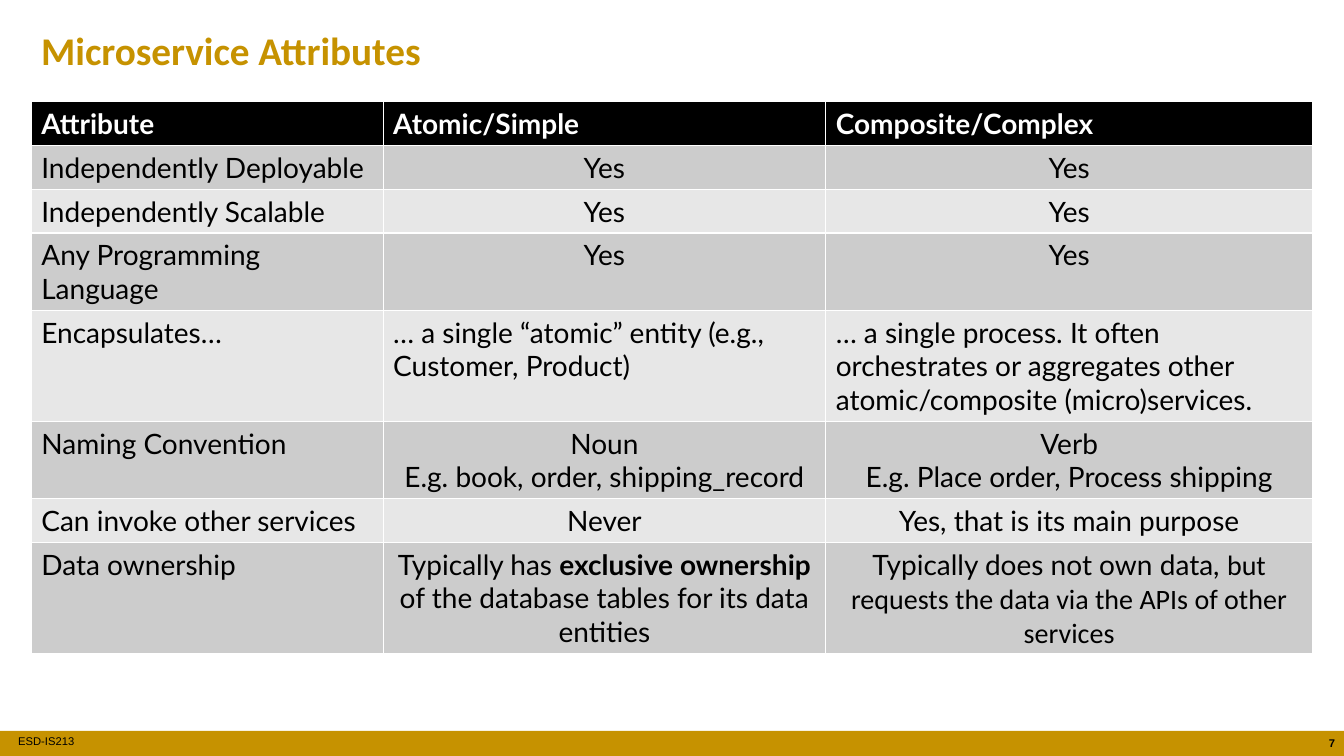
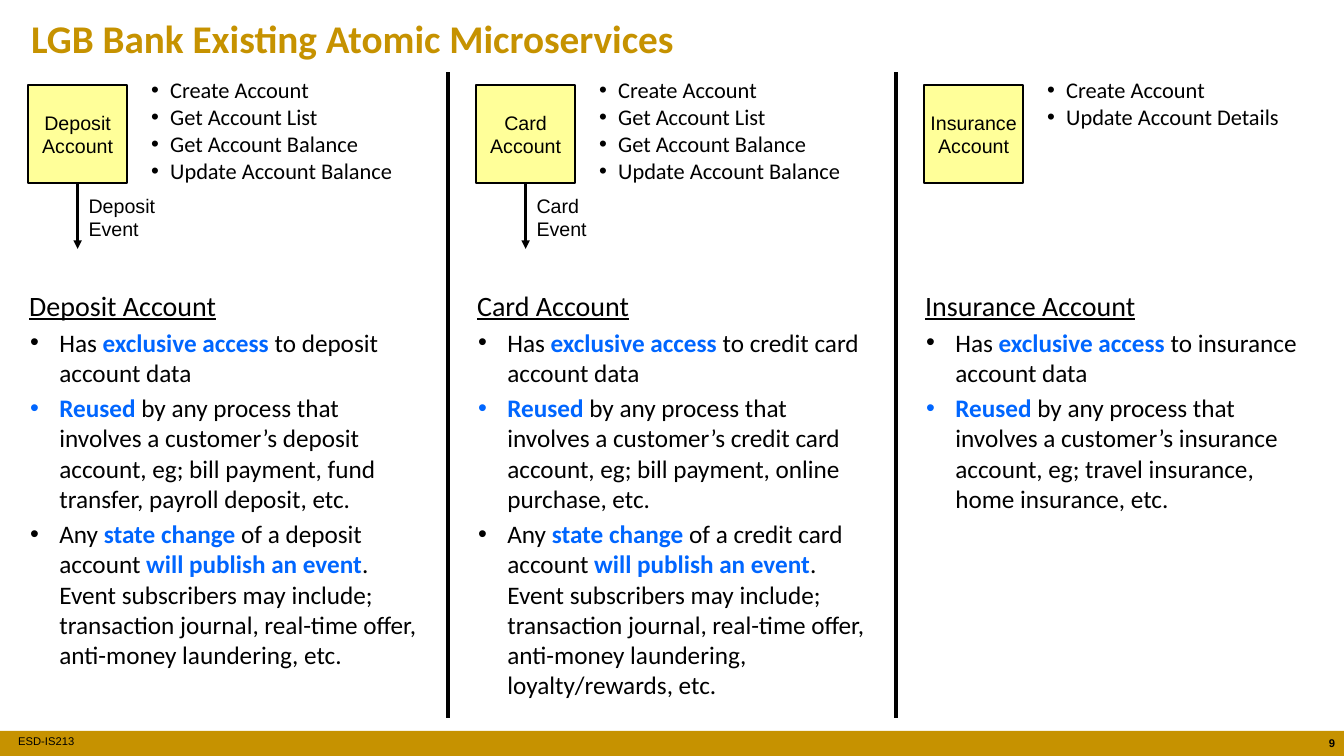
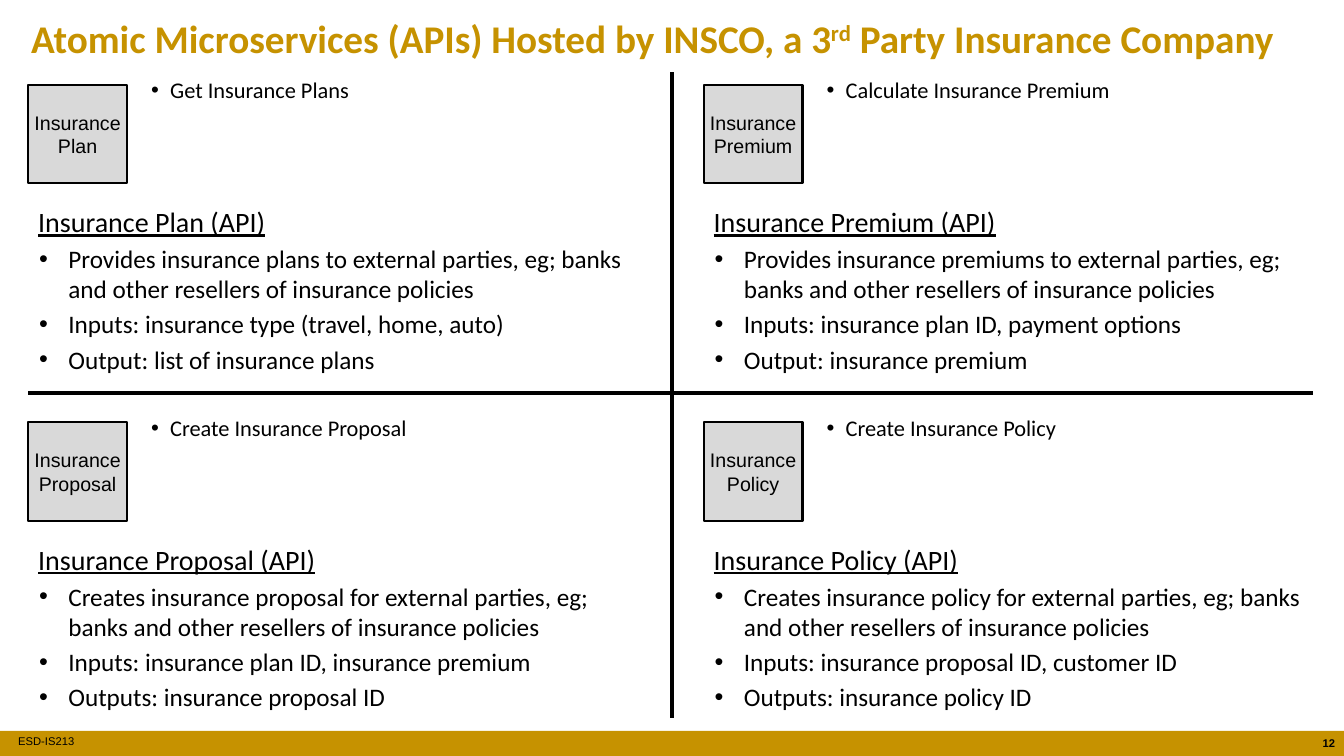
from dataclasses import dataclass

from lxml import etree
from pptx import Presentation
from pptx.dml.color import RGBColor
from pptx.enum.shapes import MSO_CONNECTOR, MSO_SHAPE
from pptx.enum.text import PP_ALIGN
from pptx.oxml.ns import qn
from pptx.util import Inches, Pt

LEFT, CENTER, RIGHT = PP_ALIGN.LEFT, PP_ALIGN.CENTER, PP_ALIGN.RIGHT
RECTANGLE, STRAIGHT = MSO_SHAPE.RECTANGLE, MSO_CONNECTOR.STRAIGHT


@dataclass(frozen=True)
class Theme:
    gold: RGBColor = RGBColor(0xC6, 0x92, 0x00)
    black: RGBColor = RGBColor(0x00, 0x00, 0x00)
    white: RGBColor = RGBColor(0xFF, 0xFF, 0xFF)
    blue: RGBColor = RGBColor(0x00, 0x66, 0xFF)
    yellow: RGBColor = RGBColor(0xFF, 0xFF, 0x99)
    grey: RGBColor = RGBColor(0xD9, 0xD9, 0xD9)
    dark_row: RGBColor = RGBColor(0xCC, 0xCC, 0xCC)
    light_row: RGBColor = RGBColor(0xE7, 0xE7, 0xE7)
    body_font: str = "Calibri"
    label_font: str = "Arial"
    table_font: str = "Lato"
    title_size: int = 28
    heading_size: int = 20
    body_size: int = 18
    list_size: int = 16
    label_size: int = 14
    footer_size: int = 8


THEME = Theme()
WIDTH, HEIGHT = 13.33, 7.5
BAND = HEIGHT / 30
MARGIN = 0.28
BOX = 0.98
BOX_TOP = 0.84
RULE_TOP, RULE_BOTTOM = 0.71, 7.12


def write(frame, lines, size, font=THEME.body_font, color=THEME.black, bold=False,
          align=LEFT, indent=0, space=0, accent=None):
    """Fill a text frame: "•" starts a bulleted line, ** encloses a bold part."""
    frame.word_wrap = True
    frame.text = "\n".join(line.lstrip("•").replace("**", "") for line in lines)
    for line, paragraph in zip(lines, frame.paragraphs):
        paragraph.alignment = align
        paragraph.space_before = Pt(space)
        if line.startswith("•"):
            properties = paragraph._p.get_or_add_pPr()
            properties.set("marL", str(Inches(indent)))
            properties.set("indent", str(Inches(0.01 - indent)))
            etree.SubElement(properties, qn("a:buFont")).set("typeface", THEME.label_font)
            etree.SubElement(properties, qn("a:buChar")).set("char", "•")
        parts = line.lstrip("•").split("**")
        if len(parts) > 1:
            paragraph.clear()
        for index, part in enumerate(parts):
            if not part:
                continue
            run = paragraph.add_run() if len(parts) > 1 else paragraph.runs[0]
            run.text = part
            strong = index % 2 == 1
            run.font.size = Pt(size)
            run.font.name = font
            run.font.bold = bold or strong
            run.font.color.rgb = accent if strong and accent else color


def draw_line(slide, start, end, width, arrow=False):
    line = slide.shapes.add_connector(STRAIGHT, *map(Inches, start + end))
    line.line.color.rgb = THEME.black
    line.line.width = Pt(width)
    if arrow:
        etree.SubElement(line.line._get_or_add_ln(), qn("a:tailEnd")).set("type", "triangle")
    etree.SubElement(line._element.spPr, qn("a:effectLst"))


presentation = Presentation()
presentation.slide_width = Inches(WIDTH)
presentation.slide_height = Inches(HEIGHT)
blank_layout = presentation.slide_layouts[6]

# Title, band and footer of every slide
pages = [
    ("Microservice Attributes", "7", 0.31, 0.21),
    ("LGB Bank Existing Atomic Microservices", "9", 0.21, 0.09),
    ("Atomic Microservices (APIs) Hosted by INSCO, a 3**rd** Party Insurance Company", "12", 0.21, 0.09),
]
slides = []
for title, number, left, top in pages:
    slide = presentation.slides.add_slide(blank_layout)
    slides.append(slide)

    band = slide.shapes.add_shape(RECTANGLE, 0, Inches(HEIGHT - BAND), Inches(WIDTH), Inches(BAND))
    band.shadow.inherit = False
    band.fill.solid()
    band.fill.fore_color.rgb = THEME.gold
    band.line.fill.background()

    footer = slide.shapes.add_textbox(Inches(0.18), Inches(7.24), Inches(1.72), Inches(BAND))
    footer.text_frame.margin_left = footer.text_frame.margin_right = 0
    write(footer.text_frame, ["ESD-IS213"], THEME.footer_size, THEME.label_font)

    page_number = slide.shapes.add_textbox(Inches(12.95), Inches(7.26), Inches(0.39), Inches(BAND))
    write(page_number.text_frame, [number], THEME.footer_size, THEME.label_font, bold=True, align=RIGHT)

    title_box = slide.shapes.add_textbox(Inches(left), Inches(top), Inches(12.85), Inches(0.62))
    write(title_box.text_frame, [title], THEME.title_size, color=THEME.gold, bold=True)
    for ordinal in title_box.text_frame.paragraphs[0].runs[1:2]:
        ordinal._r.get_or_add_rPr().set("baseline", "30000")

attributes_slide, bank_slide, insurer_slide = slides

# Attribute table: text lines in the row, then its cells
rows = [
    (1, "Attribute", "Atomic/Simple", "Composite/Complex"),
    (1, "Independently Deployable", "Yes", "Yes"),
    (1, "Independently Scalable", "Yes", "Yes"),
    (2, "Any Programming Language", "Yes", "Yes"),
    (3, "Encapsulates…", "… a single “atomic” entity (e.g., Customer, Product)",
     "… a single process. It often orchestrates or aggregates other atomic/composite (micro)services."),
    (2, "Naming Convention", "Noun\nE.g. book, order, shipping_record",
     "Verb\nE.g. Place order, Process shipping"),
    (1, "Can invoke other services", "Never", "Yes, that is its main purpose"),
    (3, "Data ownership",
     "Typically has **exclusive ownership** of the database tables for its data entities",
     "Typically does not own data, **but requests the data via the APIs of other services**"),
]
column_widths = [3.49, 4.39, 4.83]
row_heights = [0.1 + 0.33 * row[0] for row in rows]
table = attributes_slide.shapes.add_table(
    len(rows), len(column_widths), Inches(0.31), Inches(1.01),
    Inches(sum(column_widths)), Inches(sum(row_heights))).table
for column, width in zip(table.columns, column_widths):
    column.width = Inches(width)
for row_index, (line_count, *texts) in enumerate(rows):
    table.rows[row_index].height = Inches(row_heights[row_index])
    header = row_index == 0
    row_fill = THEME.black if header else THEME.dark_row if row_index % 2 else THEME.light_row
    for column_index, text in enumerate(texts):
        cell = table.cell(row_index, column_index)
        cell.fill.solid()
        cell.fill.fore_color.rgb = row_fill
        left_aligned = header or column_index == 0 or text.startswith("…")
        write(cell.text_frame, text.split("\n"), THEME.heading_size, THEME.table_font,
              THEME.white if header else THEME.black, header, LEFT if left_aligned else CENTER)
data_request = table.cell(7, 2).text_frame.paragraphs[0].runs[1]
data_request.font.name = THEME.body_font
data_request.font.bold = False

# Dividers
third = WIDTH / 3
for divider in (third, 2 * third):
    draw_line(bank_slide, (divider, RULE_BOTTOM), (divider, RULE_TOP), 3)
draw_line(insurer_slide, (WIDTH / 2, RULE_BOTTOM), (WIDTH / 2, RULE_TOP), 3)
draw_line(insurer_slide, (WIDTH - 0.31, 3.9), (MARGIN, 3.9), 3)

# Services: name, event, operations, points
account_operations = ["•Create Account", "•Get Account List", "•Get Account Balance", "•Update Account Balance"]
account_points = [
    "•Has **exclusive access** to {0} account data",
    "•**Reused** by any process that involves a customer’s {0} account, eg; {1}, etc.",
    "•Any **state change** of a {0} account **will publish an event**. Event subscribers may include; "
    "transaction journal, real-time offer, anti-money laundering{2}, etc.",
]
bank_services = [
    ("Deposit Account", "Deposit Event", account_operations,
     [point.format("deposit", "bill payment, fund transfer, payroll deposit", "") for point in account_points]),
    ("Card Account", "Card Event", account_operations,
     [point.format("credit card", "bill payment, online purchase", ", loyalty/rewards")
      for point in account_points]),
    ("Insurance Account", None, ["•Create Account", "•Update Account Details"],
     [point.format("insurance", "travel insurance, home insurance") for point in account_points[:2]]),
]
insurer_services = [
    ("Insurance Plan", None, ["•Get Insurance Plans"],
     ["•Provides insurance plans to external parties, eg; banks and other resellers of insurance policies",
      "•Inputs: insurance type (travel, home, auto)",
      "•Output: list of insurance plans"]),
    ("Insurance Premium", None, ["•Calculate Insurance Premium"],
     ["•Provides insurance premiums to external parties, eg; banks and other resellers of insurance policies",
      "•Inputs: insurance plan ID, payment options",
      "•Output: insurance premium"]),
    ("Insurance Proposal", None, ["•Create Insurance Proposal"],
     ["•Creates insurance proposal for external parties, eg; banks and other resellers of insurance policies",
      "•Inputs: insurance plan ID, insurance premium",
      "•Outputs: insurance proposal ID"]),
    ("Insurance Policy", None, ["•Create Insurance Policy"],
     ["•Creates insurance policy for external parties, eg; banks and other resellers of insurance policies",
      "•Inputs: insurance proposal ID, customer ID",
      "•Outputs: insurance policy ID"]),
]

# Grids: slide, services, columns, column and row pitch, box fill, heading suffix, body place and size
grids = [
    (bank_slide, bank_services, 3, third, 0, THEME.yellow, "", (-0.09, 1.97, 4.08, 4.31)),
    (insurer_slide, insurer_services, 2, 6.7, 3.35, THEME.grey, " (API)", (0, 1.14, 6.08, 1.9)),
]
for slide, services, columns, column_pitch, row_pitch, box_fill, suffix, body_area in grids:
    body_left, body_top, body_width, body_height = body_area
    for index, (name, event, operations, points) in enumerate(services):
        left = MARGIN + index % columns * column_pitch
        top = BOX_TOP + index // columns * row_pitch

        box = slide.shapes.add_shape(RECTANGLE, Inches(left), Inches(top), Inches(BOX), Inches(BOX))
        box.shadow.inherit = False
        box.fill.solid()
        box.fill.fore_color.rgb = box_fill
        box.line.color.rgb = THEME.black
        box.line.width = Pt(1.5)
        frame = box.text_frame
        frame.margin_left = frame.margin_right = frame.margin_top = frame.margin_bottom = Inches(0.04)
        write(frame, [name], THEME.label_size, THEME.label_font, align=CENTER)

        operation_list = slide.shapes.add_textbox(
            Inches(left + 1.11), Inches(top - 0.13), Inches(column_pitch - 1.56), Inches(1.22))
        write(operation_list.text_frame, operations, THEME.list_size, indent=0.2)

        if event:
            middle, bottom = left + BOX / 2, top + BOX
            draw_line(slide, (middle, bottom), (middle, bottom + 0.65), 2, arrow=True)
            event_label = slide.shapes.add_textbox(
                Inches(middle + 0.01), Inches(bottom + 0.05), Inches(0.97), Inches(0.57))
            write(event_label.text_frame, [event], THEME.label_size, THEME.label_font)

        body = slide.shapes.add_textbox(
            Inches(left + body_left), Inches(top + body_top), Inches(body_width), Inches(body_height))
        write(body.text_frame, [name + suffix] + points, THEME.body_size,
              indent=0.3, space=3.6, accent=THEME.blue)
        heading = body.text_frame.paragraphs[0].runs[0]
        heading.font.size = Pt(THEME.heading_size)
        heading.font.underline = True

presentation.save("out.pptx")
